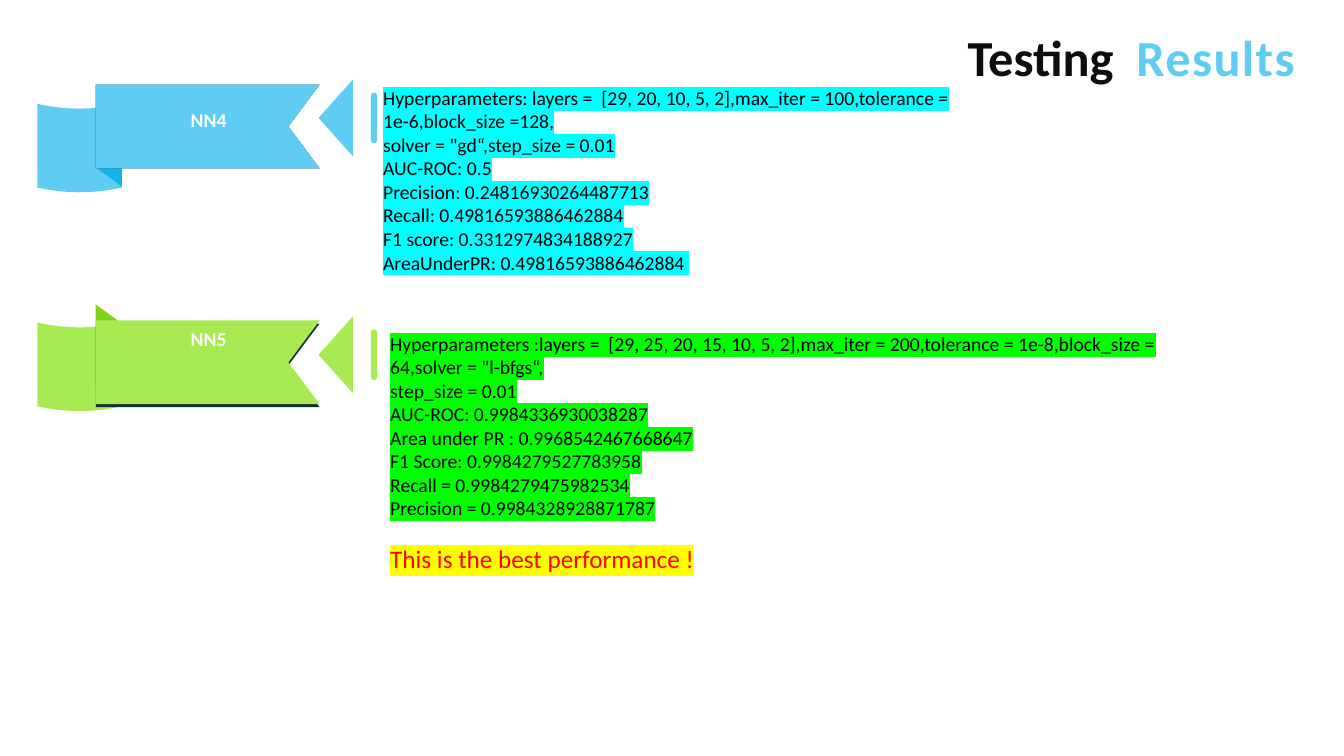
from lxml.etree import SubElement
from pptx import Presentation
from pptx.dml.color import RGBColor
from pptx.enum.shapes import MSO_SHAPE
from pptx.enum.text import MSO_ANCHOR, MSO_AUTO_SIZE, PP_ALIGN
from pptx.oxml.ns import qn
from pptx.util import Inches, Pt

FONT = "Calibri"
COLORS = {
    "blue": "5ECCF3", "dark blue": "12B2EB",
    "green": "A7EA52", "dark green": "81D31A",
    "navy": "162F3C", "white": "FFFFFF", "black": "000000",
    "title": "0D0D0D", "red": "FF0000",
    "cyan mark": "00FFFF", "green mark": "00FF00", "yellow mark": "FFFF00",
}

NN4_LINES = [
    "Hyperparameters: layers =  [29, 20, 10, 5, 2],max_iter = 100,tolerance = 1e-6,block_size =128,",
    "solver = \"gd“,step_size = 0.01",
    "AUC-ROC: 0.5",
    "Precision: 0.24816930264487713",
    "Recall: 0.49816593886462884",
    "F1 score: 0.3312974834188927",
    "AreaUnderPR: 0.49816593886462884 ",
]
NN5_LINES = [
    "Hyperparameters :layers =  [29, 25, 20, 15, 10, 5, 2],max_iter = 200,tolerance = 1e-8,block_size = 64,solver = \"l-bfgs“,",
    "step_size = 0.01",
    "AUC-ROC: 0.9984336930038287",
    "Area under PR : 0.9968542467668647",
    "F1 Score: 0.9984279527783958",
    "Recall = 0.9984279475982534",
    "Precision = 0.9984328928871787",
]


def color(name):
    return RGBColor.from_string(COLORS[name])


def paint(shape, fill):
    shape.shadow.inherit = False
    shape.fill.solid()
    shape.fill.fore_color.rgb = color(fill)
    shape.line.fill.background()


def add_outline(slide, left, top, points, fill):
    corners = [(Inches(left + x), Inches(top + y)) for x, y in points]
    builder = slide.shapes.build_freeform(*corners[0])
    builder.add_line_segments(corners[1:], close=True)
    paint(builder.convert_to_shape(), fill)


def add_run(paragraph, text, size, font_color, bold=False, mark=None):
    run = paragraph.add_run()
    run.text = text
    run.font.name = FONT
    run.font.size = Pt(size)
    run.font.bold = bold
    run.font.color.rgb = color(font_color)
    if mark:
        properties = run.font._element
        highlight = SubElement(properties, qn("a:highlight"))
        SubElement(highlight, qn("a:srgbClr"), val=COLORS[mark])
        properties.find(qn("a:solidFill")).addnext(highlight)
    return run


def place(shape, left, top, width, height):
    shape.left, shape.top = Inches(left), Inches(top)
    shape.width, shape.height = Inches(width), Inches(height)


def add_ribbon(slide, left, top, name, hue, tail_offset, fold_offset, shadow_offset):
    tail_width, height, sag, steps = 0.84, 0.83, 0.19, 16
    curve = [
        (tail_width * step / steps, sag * step / steps * (1 - step / steps))
        for step in range(steps + 1)
    ]
    tail = curve + [(x, y + height) for x, y in reversed(curve)]
    fold = [(0, 0), (0.26, 0.19), (0.26, 1.01), (0, 0.82)]
    banner = [(0, 0), (2.22, 0), (1.91, height / 2), (2.22, height), (0, height)]
    banner_left = left + 0.58
    add_outline(slide, left, top + tail_offset, tail, hue)
    add_outline(slide, banner_left, top + fold_offset, fold, f"dark {hue}")
    add_outline(slide, banner_left, top + shadow_offset, banner, "navy")
    add_outline(slide, banner_left, top, banner, hue)

    label = slide.shapes.add_textbox(
        Inches(left + 1.42), Inches(top + tail_offset - 0.01), Inches(0.56), Inches(0.34)
    )
    label.text_frame.word_wrap = False
    paragraph = label.text_frame.paragraphs[0]
    paragraph.alignment = PP_ALIGN.CENTER
    add_run(paragraph, name, 14, "white", bold=True)


def add_pointer(slide, left, top, hue):
    add_outline(slide, left, top, [(0.34, 0), (0, 0.38), (0.34, 0.76)], hue)
    bar = slide.shapes.add_shape(
        MSO_SHAPE.ROUND_2_SAME_RECTANGLE,
        Inches(left + 0.52), Inches(top + 0.13), Inches(0.06), Inches(0.5),
    )
    bar.adjustments[0] = bar.adjustments[1] = 0.5
    paint(bar, hue)


def fill_results(body, box, lines, mark, verdict=None):
    place(body, *box)
    frame = body.text_frame
    frame.word_wrap = True
    frame.auto_size = MSO_AUTO_SIZE.NONE
    frame.vertical_anchor = MSO_ANCHOR.TOP
    frame.margin_left = frame.margin_right = Inches(0.12)
    frame.margin_top = frame.margin_bottom = Inches(0.06)
    entries = [(line, 14, "black", mark, 0) for line in lines]
    if verdict:
        entries.append((verdict, 18, "red", "yellow mark", 17))
    for index, (text, size, font_color, entry_mark, gap) in enumerate(entries):
        paragraph = frame.add_paragraph() if index else frame.paragraphs[0]
        paragraph.space_before = Pt(gap)
        properties = paragraph._p.get_or_add_pPr()
        properties.set("marL", "0")
        properties.set("indent", "0")
        SubElement(properties, qn("a:buNone"))
        add_run(paragraph, text, size, font_color, mark=entry_mark)


def fill_title(title, box):
    place(title, *box)
    frame = title.text_frame
    frame.auto_size = MSO_AUTO_SIZE.NONE
    frame.vertical_anchor = MSO_ANCHOR.TOP
    paragraph = frame.paragraphs[0]
    paragraph.alignment = PP_ALIGN.CENTER
    add_run(paragraph, "Testing  ", 36, "title", bold=True)
    results = add_run(paragraph, "Results", 36, "blue", bold=True)
    results.font._element.set("spc", "100")


def main():
    presentation = Presentation()
    presentation.slide_width = Inches(13.33)
    presentation.slide_height = Inches(7.5)
    slide = presentation.slides.add_slide(presentation.slide_layouts[3])
    title, nn4_body, nn5_body = slide.placeholders

    add_ribbon(slide, 0.37, 0.84, "NN4", "blue", 0.19, 0, 0)
    add_ribbon(slide, 0.37, 3.18, "NN5", "green", 0.02, -0.16, 0.03)
    add_pointer(slide, 3.16, 0.79, "blue")
    add_pointer(slide, 3.16, 3.14, "green")
    fill_results(nn4_body, (3.68, 0.79, 6.49, 2.24), NN4_LINES, "cyan mark")
    fill_results(
        nn5_body, (3.75, 3.23, 8.16, 2.54), NN5_LINES, "green mark",
        "This is the best performance !",
    )
    fill_title(title, (9.12, 0.21, 4.2, 0.71))
    presentation.save("out.pptx")


if __name__ == "__main__":
    main()
